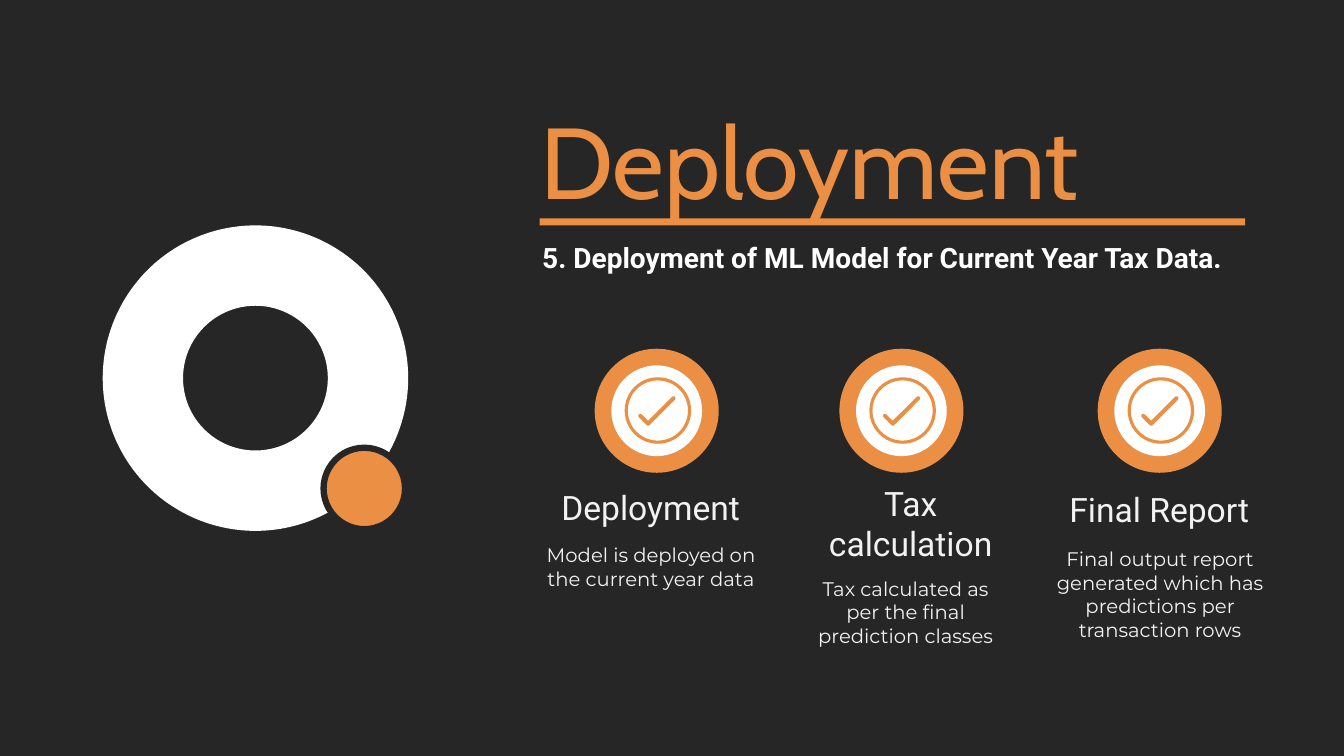
"""Build the Deployment slide: ring emblem, title and three check-marked steps."""
from pptx import Presentation
from pptx.dml.color import RGBColor
from pptx.enum.shapes import MSO_SHAPE
from pptx.enum.text import MSO_ANCHOR, MSO_AUTO_SIZE, PP_ALIGN
from pptx.util import Pt

DARK = RGBColor(0x26, 0x26, 0x26)
ORANGE = RGBColor(0xEA, 0x8F, 0x44)
WHITE = RGBColor(0xFF, 0xFF, 0xFF)
PALE = RGBColor(0xF2, 0xF2, 0xF2)

TITLE = "Deployment"
SUBTITLE = "5. Deployment of ML Model for Current Year Tax Data."
STEPS = [
    {"badge_left": 424.8,
     "heading": ("Deployment", (382.3, 344.2, 164.9, 52.6)),
     "detail": ("Model is deployed on the current year data",
                (382.3, 384.5, 165.6, 83.5))},
    {"badge_left": 599.6,
     "heading": ("Tax calculation", (580.3, 341.3, 140.4, 110.9)),
     "detail": ("Tax calculated as per the final prediction classes",
                (573.1, 408.2, 147.6, 58.3))},
    {"badge_left": 784.1,
     "heading": ("Final Report", (745.9, 345.6, 164.2, 36)),
     "detail": ("Final output report generated which has predictions per transaction rows",
                (742.3, 387.4, 172.8, 74.9))},
]

TITLE_FONT = {"name": "Cabin", "size": Pt(72)}
SUBTITLE_FONT = {"name": "Roboto", "size": Pt(20), "bold": True}
HEADING_FONT = {"name": "Roboto", "size": Pt(24)}
DETAIL_FONT = {"name": "Montserrat", "size": Pt(14)}

BADGE_TOP = 249.1
BADGE_PARTS = [
    (MSO_SHAPE.OVAL, (0, 0, 88.6, 88.6), ORANGE, None, 0),
    (MSO_SHAPE.OVAL, (11.9, 11.9, 64.8, 64.8), WHITE, None, 0),
    (MSO_SHAPE.DONUT, (21.4, 20.4, 47.5, 47.5), ORANGE, 0.047, 0),
    (MSO_SHAPE.ROUNDED_RECTANGLE, (33.9, 45.4, 2.9, 10.8), ORANGE, 0.5, 135),
    (MSO_SHAPE.ROUNDED_RECTANGLE, (46.1, 30.3, 2.9, 27.4), ORANGE, 0.5, 225),
]


def add_shape(s, kind, box, fill, adjustment=None, rotation=0):
    sp = s.shapes.add_shape(kind, *map(Pt, box))
    sp.shadow.inherit = False
    sp.fill.solid()
    sp.fill.fore_color.rgb = fill
    sp.line.fill.background()
    sp.rotation = rotation
    if adjustment is not None:
        sp.adjustments[0] = adjustment
    return sp


def add_text(s, text, box, font, color, align=PP_ALIGN.LEFT):
    tf = s.shapes.add_textbox(*map(Pt, box)).text_frame
    frame = {"word_wrap": True, "vertical_anchor": MSO_ANCHOR.TOP,
             "auto_size": MSO_AUTO_SIZE.SHAPE_TO_FIT_TEXT}
    for key, value in frame.items():
        setattr(tf, key, value)
    p = tf.paragraphs[0]
    p.alignment = align
    r = p.add_run()
    r.text = text
    for key, value in font.items():
        setattr(r.font, key, value)
    r.font.color.rgb = color


def add_step(s, step):
    for kind, (x, y, w, h), fill, adjustment, rotation in BADGE_PARTS:
        box = (step["badge_left"] + x, BADGE_TOP + y, w, h)
        add_shape(s, kind, box, fill, adjustment, rotation)
    for part, font in (("heading", HEADING_FONT), ("detail", DETAIL_FONT)):
        add_text(s, *step[part], font, PALE, PP_ALIGN.CENTER)


def main():
    prs = Presentation()
    prs.slide_width, prs.slide_height = Pt(960), Pt(540)
    s = prs.slides.add_slide(prs.slide_layouts[6])
    s.background.fill.solid()
    s.background.fill.fore_color.rgb = DARK

    add_shape(s, MSO_SHAPE.DONUT, (73.4, 161, 218.2, 218.2), WHITE, 0.263)
    dot = add_shape(s, MSO_SHAPE.OVAL, (231.1, 319.8, 58.2, 58.2), ORANGE)
    dot.line.color.rgb = DARK
    dot.line.width = Pt(4.5)

    add_text(s, TITLE, (378.7, 67, 461.5, 94.3), TITLE_FONT, ORANGE)
    add_shape(s, MSO_SHAPE.RECTANGLE, (385.4, 156, 504, 5), ORANGE)
    add_text(s, SUBTITLE, (380.2, 168.5, 529.2, 31.7), SUBTITLE_FONT, WHITE)
    for step in STEPS:
        add_step(s, step)
    prs.save("out.pptx")


if __name__ == "__main__":
    main()
